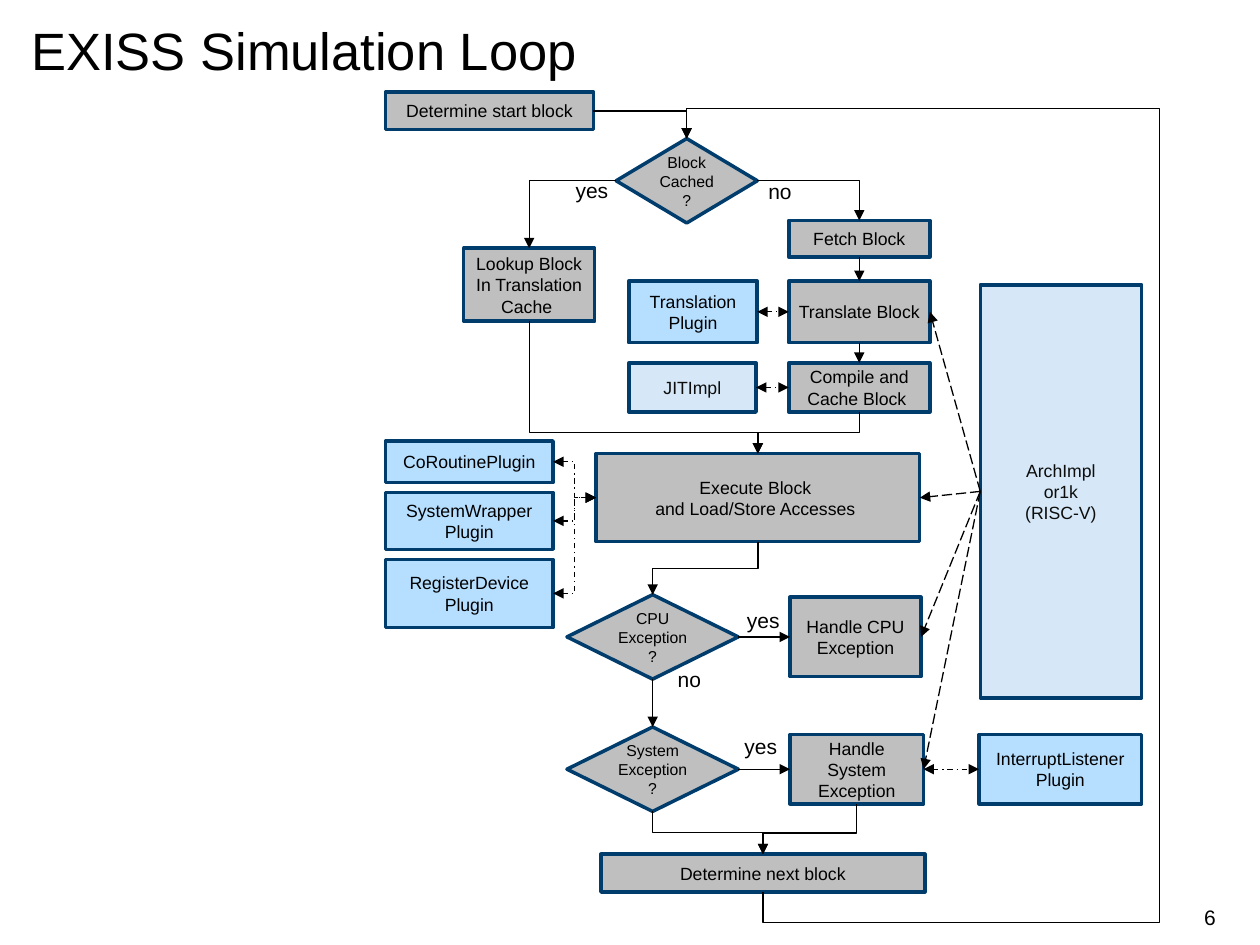
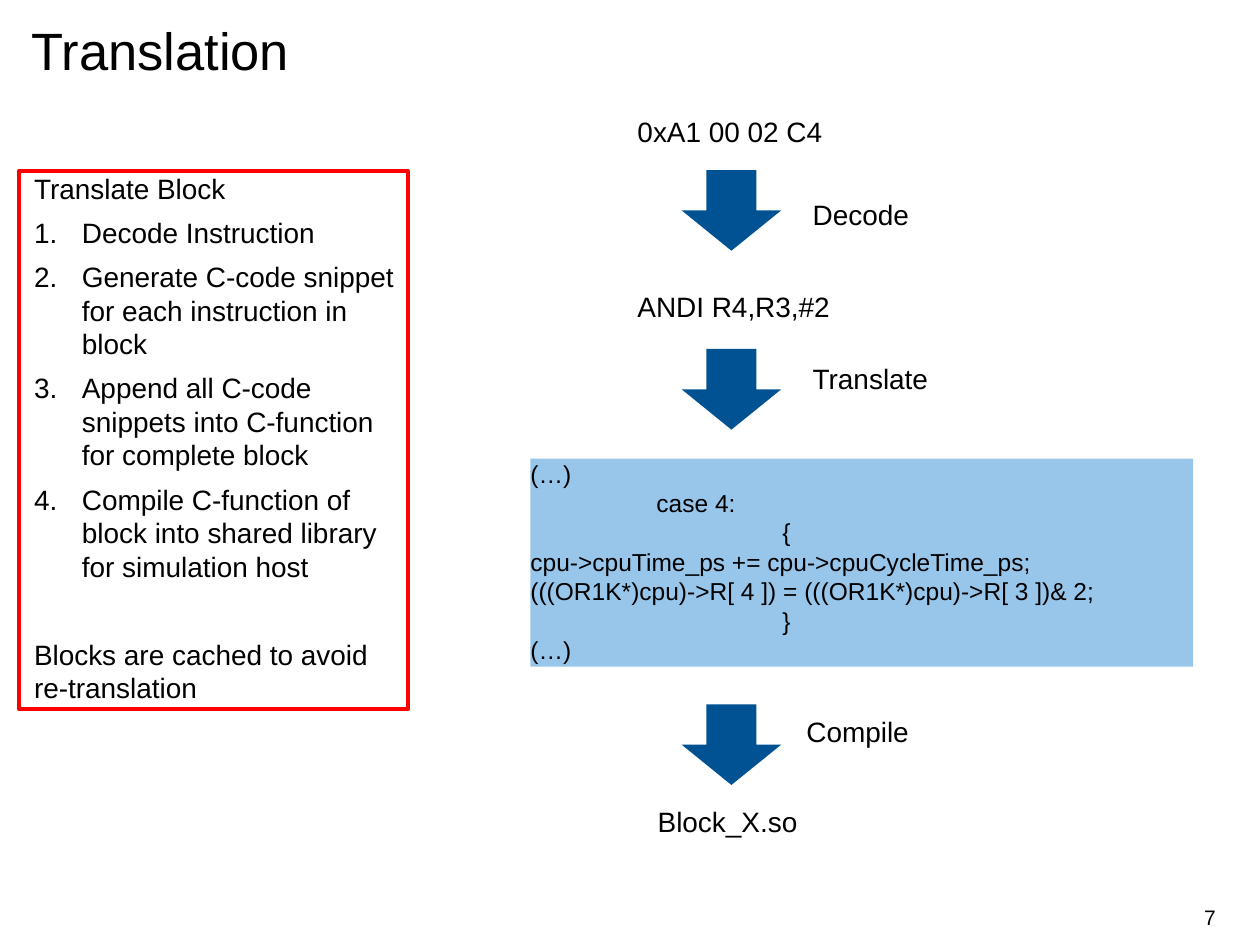
from dataclasses import dataclass

from lxml.etree import SubElement
from pptx import Presentation
from pptx.dml.color import RGBColor
from pptx.enum.dml import MSO_LINE
from pptx.enum.shapes import MSO_CONNECTOR, MSO_SHAPE
from pptx.enum.text import MSO_ANCHOR, MSO_AUTO_SIZE, PP_ALIGN
from pptx.oxml.ns import qn
from pptx.util import Inches, Pt


@dataclass(frozen=True)
class Theme:
    font: str = "Arial"
    ink: str = "000000"
    soft_ink: str = "0D0D0D"
    paper: str = "FFFFFF"
    border: str = "003D6D"
    core: str = "BFBFBF"
    plugin: str = "B6DFFF"
    interface: str = "D6E8F7"
    code: str = "98C6EA"
    arrow: str = "005293"
    alert: str = "FF0000"
    title_size: float = 30
    text_size: float = 16
    code_size: float = 14
    label_size: float = 12
    node_size: float = 10.1
    decision_size: float = 9


THEME = Theme()
WIDTH, HEIGHT = Inches(10), Inches(7.5)
COL, ROW = WIDTH / 100, HEIGHT / 75  # grid of 100 columns by 75 rows


@dataclass(frozen=True)
class Box:
    x: float
    y: float
    w: float
    h: float

    def inner(self, x, y, w, h):
        return Box(self.x + x, self.y + y, w, h)

    def emu(self):
        return (round(self.x * COL), round(self.y * ROW),
                round(self.w * COL), round(self.h * ROW))


def rgb(value):
    return RGBColor.from_string(value)


# ---- Shared text and shape helpers ----
def set_frame(frame, insets=(0, 0, 0, 0), anchor=MSO_ANCHOR.TOP):
    frame.word_wrap = True
    frame.auto_size = MSO_AUTO_SIZE.NONE
    frame.vertical_anchor = anchor
    (frame.margin_left, frame.margin_top,
     frame.margin_right, frame.margin_bottom) = map(Inches, insets)


def write(frame, text, size, color=THEME.ink, align=PP_ALIGN.LEFT, spacing=None):
    """Write one paragraph per line and return the paragraphs."""
    paragraphs = []
    for index, line in enumerate(text.split("\n")):
        paragraph = frame.add_paragraph() if index else frame.paragraphs[0]
        paragraph.alignment = align
        if spacing:
            paragraph.line_spacing = spacing
        run = paragraph.add_run()
        run.text = line
        run.font.name, run.font.size = THEME.font, Pt(size)
        run.font.color.rgb = rgb(color)
        paragraphs.append(paragraph)
    return paragraphs


def add_text(slide, box, text, size, insets=(0, 0, 0, 0),
             anchor=MSO_ANCHOR.TOP, **style):
    frame = slide.shapes.add_textbox(*box.emu()).text_frame
    set_frame(frame, insets, anchor)
    write(frame, text, size, **style)


def add_filled(slide, preset, box, fill, border=None, width=2):
    shape = slide.shapes.add_shape(preset, *box.emu())
    shape.shadow.inherit = False
    shape.fill.solid()
    shape.fill.fore_color.rgb = rgb(fill)
    if border:
        shape.line.color.rgb = rgb(border)
        shape.line.width = Pt(width)
    else:
        shape.line.fill.background()
    return shape


def add_page(deck, layout, title, number):
    slide = deck.slides.add_slide(deck.slide_layouts[layout])
    heading = slide.shapes.title
    heading.left, heading.top, heading.width, heading.height = Box(2.5, 2, 48.1, 4.5).emu()
    set_frame(heading.text_frame)
    write(heading.text_frame, title, THEME.title_size, spacing=Pt(32))
    add_text(slide, Box(74.1, 70.8, 22.4, 4), number, THEME.label_size,
             (0, 0.05, 0, 0.05), MSO_ANCHOR.MIDDLE, align=PP_ALIGN.RIGHT)
    return slide


# ---- Connectors between shapes ----
TOP, LEFT, BOTTOM, RIGHT = range(4)  # connection sites
PRESETS = {"straight": "line", "corner": "bentConnector2", "across": "bentConnector3",
           "down": "bentConnector3", "loop": "bentConnector5"}


def turn_vertical(link, start_x, start_y, end_x, end_y):
    """Rotate an elbow so that it leaves its start vertically."""
    dx, dy = end_x - start_x, end_y - start_y
    frame = link._element.spPr.find(qn("a:xfrm"))
    for flag, on in (("flipH", dy < 0), ("flipV", dx > 0)):
        frame.set(flag, str(int(on)))
    frame.set("rot", "5400000")
    link.width, link.height = abs(dy), abs(dx)
    link.left = (start_x + end_x - abs(dy)) // 2
    link.top = (start_y + end_y - abs(dx)) // 2


def connect(slide, source, source_side, target, target_side,
            route="straight", bends=(), dash=None, both=False):
    kind = MSO_CONNECTOR.STRAIGHT if route == "straight" else MSO_CONNECTOR.ELBOW
    link = slide.shapes.add_connector(kind, 0, 0, 0, 0)
    link.begin_connect(source, source_side)
    link.end_connect(target, target_side)
    if route in ("down", "loop"):
        turn_vertical(link, link.begin_x, link.begin_y, link.end_x, link.end_y)
    properties = link._element.spPr
    geometry = properties.find(qn("a:prstGeom"))
    geometry.set("prst", PRESETS[route])
    if bends:
        guides = geometry.find(qn("a:avLst"))
        if guides is None:
            guides = SubElement(geometry, qn("a:avLst"))
        for index, share in enumerate(bends, 1):
            SubElement(guides, qn("a:gd"), name=f"adj{index}",
                       fmla=f"val {round(share * 100000)}")
    link.line.color.rgb = rgb(THEME.ink)
    link.line.width = Pt(0.75)
    if dash:
        link.line.dash_style = dash
    stroke = properties.find(qn("a:ln"))
    for end in ("a:headEnd", "a:tailEnd") if both else ("a:tailEnd",):
        SubElement(stroke, qn(end), type="triangle")
    SubElement(properties, qn("a:effectLst"))


# ---- Simulation loop: flow chart ----
NODES = {
    "start": ("core", "Determine start block", 0, 0, 16.5, 3),
    "cached": ("decision", "Block Cached?", 18.3, 3.7, 11.2, 6.7),
    "lookup": ("core", "Lookup Block\nIn Translation Cache ", 6.2, 12.4, 10.4, 5.8),
    "fetch": ("core", "Fetch Block", 32, 10.2, 11.2, 2.9),
    "translate": ("core", "Translate Block", 32, 15, 11.2, 4.9),
    "compile": ("core", "Compile and Cache Block ", 32, 21.5, 11.2, 3.9),
    "translation": ("plugin", "Translation Plugin", 19.3, 15, 10.2, 4.9),
    "jit": ("interface", "JITImpl", 19.3, 21.5, 10.1, 3.9),
    "execute": ("core", "Execute Block \nand Load/Store Accesses ", 16.7, 28.7, 25.7, 7),
    "coroutine": ("plugin", "CoRoutinePlugin", 0, 27.7, 13.3, 3.3),
    "wrapper": ("plugin", "SystemWrapper Plugin", 0, 31.8, 13.3, 4.5),
    "register": ("plugin", "RegisterDevice Plugin", 0, 37.1, 13.3, 5.4),
    "cpu": ("decision", "CPU Exception?", 14.4, 39.9, 13.6, 6.7),
    "handle_cpu": ("core", "Handle CPU Exception", 32.1, 40.1, 10.4, 6.3),
    "system": ("decision", "System Exception?", 14.4, 50.4, 13.6, 6.7),
    "handle_system": ("core", "Handle System Exception", 32.1, 51, 10.6, 5.5),
    "interrupt": ("plugin", "InterruptListener\nPlugin", 47.1, 51, 12.9, 5.5),
    "arch": ("interface", "ArchImpl\nor1k\n(RISC-V)", 47.2, 15.3, 12.8, 32.8),
    "next": ("core", "Determine next block", 17.1, 60.5, 25.7, 3),
}
NODE_STYLES = {  # preset, fill, text colour, text size
    "core": (MSO_SHAPE.RECTANGLE, THEME.core, THEME.ink, THEME.node_size),
    "plugin": (MSO_SHAPE.RECTANGLE, THEME.plugin, THEME.ink, THEME.node_size),
    "interface": (MSO_SHAPE.RECTANGLE, THEME.interface, THEME.soft_ink, THEME.node_size),
    "decision": (MSO_SHAPE.DIAMOND, THEME.core, THEME.ink, THEME.decision_size),
}
FLOW = [
    ("start", RIGHT, "cached", TOP, "corner"),
    ("cached", LEFT, "lookup", TOP, "corner"),
    ("cached", RIGHT, "fetch", TOP, "corner"),
    ("fetch", BOTTOM, "translate", TOP),
    ("translate", BOTTOM, "compile", TOP),
    ("compile", BOTTOM, "execute", TOP, "down", [0.5]),
    ("lookup", BOTTOM, "execute", TOP, "down", [0.84]),
    ("execute", BOTTOM, "cpu", TOP, "down", [0.5]),
    ("cpu", RIGHT, "handle_cpu", LEFT),
    ("cpu", BOTTOM, "system", TOP),
    ("system", RIGHT, "handle_system", LEFT),
    ("system", BOTTOM, "next", TOP, "down", [0.5]),
    ("handle_system", BOTTOM, "next", TOP, "down", [0.58]),
    ("next", BOTTOM, "cached", TOP, "loop", [-0.04, -5.2, 1.04]),
]
PLUGIN_LINKS = [
    ("translation", RIGHT, "translate", LEFT),
    ("jit", RIGHT, "compile", LEFT),
    ("handle_system", RIGHT, "interrupt", LEFT),
    *((name, RIGHT, "execute", LEFT, "across", [0.5])
      for name in ("coroutine", "wrapper", "register")),
]
ANSWERS = [("yes", 14.1, 6.3), ("no", 29.4, 6.4), ("yes", 27.7, 40.4),
           ("no", 22.2, 45.1), ("yes", 27.5, 50.4)]


def draw_flow_chart(slide, box):
    nodes = {}
    for name, (kind, text, *place) in NODES.items():
        preset, fill, ink, size = NODE_STYLES[kind]
        node = add_filled(slide, preset, box.inner(*place), fill, THEME.border)
        set_frame(node.text_frame, (0.06, 0.03, 0.06, 0.03), MSO_ANCHOR.MIDDLE)
        write(node.text_frame, text, size, ink, PP_ALIGN.CENTER)
        nodes[name] = node

    def join(source, source_side, target, target_side, *route, **style):
        connect(slide, nodes[source], source_side, nodes[target], target_side,
                *route, **style)

    for step in FLOW:
        join(*step)
    for link in PLUGIN_LINKS:
        join(*link, dash=MSO_LINE.DASH_DOT, both=True)
    for served in ("translate", "execute", "handle_cpu", "handle_system"):
        join("arch", LEFT, served, RIGHT, dash=MSO_LINE.LONG_DASH)
    for answer, x, y in ANSWERS:
        add_text(slide, box.inner(x, y, 6.4, 3), answer, THEME.label_size,
                 (0.1, 0.05, 0.1, 0.05))


# ---- Translation: numbered steps ----
STEPS = """Translate Block
Decode Instruction
Generate C-code snippet for each instruction in block
Append all C-code snippets into C-function for complete block
Compile C-function of block into shared library for simulation host
Blocks are cached to avoid re-translation"""


def fill_steps(body, box):
    body.left, body.top, body.width, body.height = box.emu()
    body.fill.solid()
    body.fill.fore_color.rgb = rgb(THEME.paper)
    body.line.color.rgb = rgb(THEME.alert)
    body.line.width = Pt(2.25)
    set_frame(body.text_frame, (0.12, 0, 0, 0))
    paragraphs = write(body.text_frame, STEPS, THEME.text_size)
    for paragraph in paragraphs:
        paragraph.space_before = Pt(6)
        numbered = paragraph not in (paragraphs[0], paragraphs[-1])
        indent = Inches(0.38) if numbered else 0
        properties = paragraph._p.get_or_add_pPr()
        properties.set("marL", str(indent))
        properties.set("indent", str(-indent))
        if numbered:
            SubElement(properties, qn("a:buAutoNum"), type="arabicPeriod")
        else:
            SubElement(properties, qn("a:buNone"))
    paragraphs[-1].space_before = Pt(31)


# ---- Translation: from machine code to library ----
CODE = [(0, "(…)"), (1, "case 4:"), (2, "{"),
        (0, "cpu->cpuTime_ps += cpu->cpuCycleTime_ps;"),
        (0, "(((OR1K*)cpu)->R[ 4 ]) = (((OR1K*)cpu)->R[ 3 ])& 2;"),
        (2, "}"), (0, "(…)")]
STAGES = [("0xA1 00 02 C4", 8.5, 0), ("ANDI R4,R3,#2", 8.5, 13.9), ("Block_X.so", 10.1, 54.8)]
ACTIONS = [("Decode", 22.4, 6.6), ("Translate", 22.4, 19.6), ("Compile", 21.9, 47.6)]


def draw_pipeline(slide, box):
    listing = add_filled(slide, MSO_SHAPE.RECTANGLE, box.inner(0, 27.7, 52.6, 16.5), THEME.code)
    set_frame(listing.text_frame)
    lines = write(listing.text_frame, "\n".join(line for _, line in CODE), THEME.code_size)
    for paragraph, (depth, _) in zip(lines, CODE):
        paragraph._p.get_or_add_pPr().set("marL", str(Inches(depth)))
    for arrow_y in (4.8, 19, 47.2):
        add_filled(slide, MSO_SHAPE.DOWN_ARROW, box.inner(12, arrow_y, 7.9, 6.4), THEME.arrow)
    for labels, width in ((STAGES, 22.7), (ACTIONS, 10.2)):
        for text, x, y in labels:
            add_text(slide, box.inner(x, y, width, 3.1), text, THEME.text_size, spacing=1.14)


# ---- Slides ----
deck = Presentation()
deck.slide_width, deck.slide_height = WIDTH, HEIGHT

loop_slide = add_page(deck, 5, "EXISS Simulation Loop", "6")
draw_flow_chart(loop_slide, Box(30.6, 7.3, 61.4, 66))

translation_slide = add_page(deck, 1, "Translation", "7")
fill_steps(translation_slide.placeholders[1], Box(1.5, 13.6, 30.9, 42.7))
draw_pipeline(translation_slide, Box(42.1, 8.7, 52.6, 57.9))

deck.save("out.pptx")
